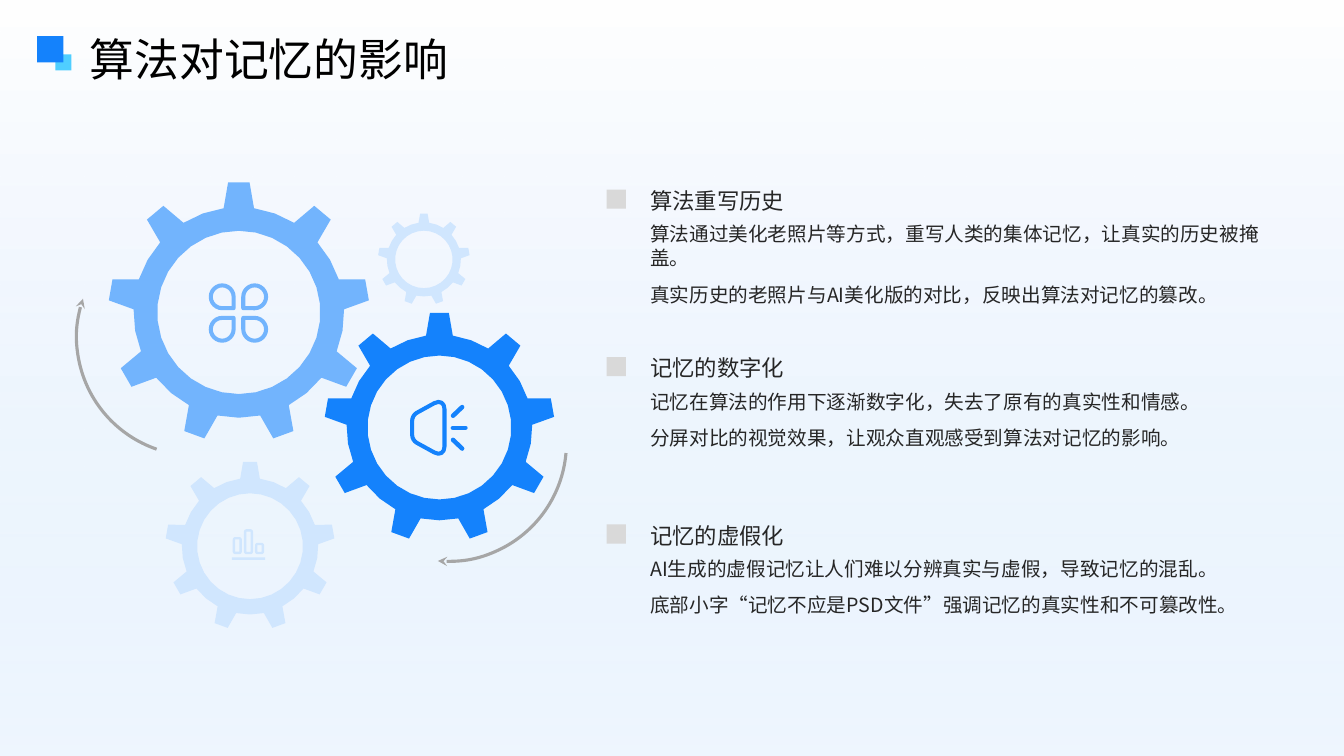
"""Build the slide on how algorithms affect memory."""
import math

import pptx
import pptx.dml.color
import pptx.enum.shapes
import pptx.enum.text
import pptx.oxml
import pptx.oxml.ns
import pptx.util

Pt = pptx.util.Pt
SHAPE = pptx.enum.shapes.MSO_SHAPE
LINE = pptx.enum.shapes.MSO_CONNECTOR
ANCHOR = pptx.enum.text.MSO_ANCHOR
FONT = "Noto Sans CJK SC"
COLORS = {
    "blue": "1482FC", "sky": "72B4FD", "pale": "D0E6FE", "cyan": "4FCEFF",
    "gray": "D9D9D9", "arrow": "A6A6A6", "text": "262626",
    "black": "000000", "white": "FFFFFF",
}
TOPICS = [
    ("算法重写历史", [
        "算法通过美化老照片等方式，重写人类的集体记忆，让真实的历史被掩盖。",
        "真实历史的老照片与AI美化版的对比，反映出算法对记忆的篡改。"]),
    ("记忆的数字化", [
        "记忆在算法的作用下逐渐数字化，失去了原有的真实性和情感。",
        "分屏对比的视觉效果，让观众直观感受到算法对记忆的影响。"]),
    ("记忆的虚假化", [
        "AI生成的虚假记忆让人们难以分辨真实与虚假，导致记忆的混乱。",
        "底部小字“记忆不应是PSD文件”强调记忆的真实性和不可篡改性。"]),
]


def rgb(name):
    return pptx.dml.color.RGBColor.from_string(COLORS[name])


def make(tag, **attrs):
    node = pptx.oxml.parse_xml(f"<a:{tag} {pptx.oxml.ns.nsdecls('a')}/>")
    for key, value in attrs.items():
        node.set(key, value)
    return node


def paint(shape, color):
    shape.shadow.inherit = False
    shape.fill.solid()
    shape.fill.fore_color.rgb = rgb(color)
    shape.line.fill.background()


def trace(shape, color, width):
    shape.shadow.inherit = False
    shape.fill.background()
    shape.line.color.rgb = rgb(color)
    shape.line.width = Pt(width)


def add_shape(slide, kind, left, top, width, height):
    return slide.shapes.add_shape(kind, Pt(left), Pt(top), Pt(width), Pt(height))


def add_box(slide, left, top, width, height, color):
    box = add_shape(slide, SHAPE.RECTANGLE, left, top, width, height)
    paint(box, color)
    return box


def add_back(slide):
    back = add_box(slide, 0, -2.9, 960, 542.9, "white")
    back.fill.gradient()
    back.fill.gradient_angle = 90
    for stop, color in zip(back.fill.gradient_stops, ("pale", "white")):
        stop.color.rgb = rgb(color)
    first = back._element.spPr.find(".//" + pptx.oxml.ns.qn("a:srgbClr"))
    first.append(make("alpha", val="34000"))
    slide.shapes._spTree.insert(2, back._element)


def set_text(shape, lines, size, color, anchor, spacing, gap=0):
    frame = shape.text_frame
    frame.word_wrap = True
    frame.auto_size = pptx.enum.text.MSO_AUTO_SIZE.NONE
    frame.vertical_anchor = anchor
    frame.margin_left = frame.margin_right = frame.margin_top = frame.margin_bottom = 0
    for i, line in enumerate(lines):
        para = frame.add_paragraph() if i else frame.paragraphs[0]
        para.alignment = pptx.enum.text.PP_ALIGN.LEFT
        para.line_spacing = spacing
        para.space_before = Pt(gap if i else 0)
        run = para.add_run()
        run.text = line
        run.font.size = Pt(size)
        run.font.color.rgb = rgb(color)
        run.font.name = FONT
        run._r.get_or_add_rPr().append(make("ea", typeface=FONT))


def add_title(slide, text):
    title = slide.shapes.title
    title.left, title.top, title.width, title.height = Pt(64.1), Pt(20.9), Pt(852.5), Pt(33.8)
    set_text(title, [text], 32, "black", ANCHOR.MIDDLE, 1.2)


def add_topic(slide, top, head, lines):
    add_box(slide, 433.4, top + 7.2, 13.7, 13.7, "gray")
    name = slide.shapes.add_textbox(Pt(464.4), Pt(top), Pt(442.8), Pt(24.5))
    set_text(name, [head], 16, "text", ANCHOR.BOTTOM, 1.3)
    body = slide.shapes.add_textbox(Pt(464.4), Pt(top + 30.2), Pt(442.8), Pt(79.2))
    set_text(body, lines, 14, "text", ANCHOR.TOP, Pt(17.2), 8.6)


def add_form(slide, center, rings):
    rings = [[(Pt(center[0] + x), Pt(center[1] + y)) for x, y in ring] for ring in rings]
    form = slide.shapes.build_freeform(*rings[0][0])
    form.add_line_segments(rings[0][1:], close=True)
    for ring in rings[1:]:
        form.move_to(*ring[0])
        form.add_line_segments(ring[1:], close=True)
    return form.convert_to_shape()


def polar(radius, angle):
    turn = math.radians(angle)
    return radius * math.sin(turn), -radius * math.cos(turn)


def add_gear(slide, center, hole, color):
    rim = []
    for mid in range(0, 360, 40):
        rim += [polar(hole * 1.6, mid + side) for side in (-4.7, 4.7)]
        rim += [polar(hole * 1.29, mid + turn) for turn in (8.3, 20, 31.7)]
    bore = [polar(hole, turn) for turn in range(0, 360, 12)]
    paint(add_form(slide, center, [bore, rim]), color)


def smooth(corners, cuts):
    ring = []
    for i, (x, y) in enumerate(corners):
        ends = []
        for px, py in (corners[i - 1], corners[(i + 1) % len(corners)]):
            ratio = cuts[i] / math.hypot(px - x, py - y)
            ends.append(((px - x) * ratio, (py - y) * ratio))
        (ax, ay), (bx, by) = ends
        for t in (0, 0.25, 0.5, 0.75, 1):
            wa = (1 - t) ** 3 + 1.35 * t * (1 - t) ** 2
            wb = t ** 3 + 1.35 * t ** 2 * (1 - t)
            ring.append((x + ax * wa + bx * wb, y + ay * wa + by * wb))
    return ring


def add_clover(slide, center, color):
    for turn, dx, dy in ((0, -19.75, 3.45), (90, -19.75, -19.75),
                         (180, 3.45, -19.75), (270, 3.45, 3.45)):
        petal = add_shape(slide, SHAPE.TEAR, center[0] + dx, center[1] + dy, 16.3, 16.3)
        petal.rotation = turn
        trace(petal, color, 2.9)


def add_ray(slide, center, start, end, color):
    ray = slide.shapes.add_connector(
        LINE.STRAIGHT, Pt(center[0] + start[0]), Pt(center[1] + start[1]),
        Pt(center[0] + end[0]), Pt(center[1] + end[1]))
    ray.line.color.rgb = rgb(color)
    ray.line.width = Pt(3.2)
    ray.line._get_or_add_ln().set("cap", "rnd")
    ray._element.spPr.append(make("effectLst"))


def add_horn(slide, center, color):
    corners = [(-19.5, -8.9), (3.6, -21.6), (3.6, 21.6), (-19.5, 8.9)]
    trace(add_form(slide, center, [smooth(corners, [3.7, 8.3, 8.3, 3.7])]), color, 2.9)
    add_ray(slide, center, (9.6, 0), (18.6, 0), color)
    for side in (-1, 1):
        add_ray(slide, center, (9.7, side * 8.6), (16.2, side * 14.8), color)


def add_bars(slide, center, color):
    for left, top in ((-10.4, -4.5), (-2.4, -10.1), (5.5, -0.4)):
        bar = add_shape(slide, SHAPE.ROUNDED_RECTANGLE, center[0] + left,
                        center[1] + top, 4.8, 6 - top)
        bar.adjustments[0] = 0.2
        trace(bar, color, 1.7)
    add_box(slide, center[0] - 11.9, center[1] + 9.2, 23.8, 1.7, color)


def add_arc(slide, left, top, turn):
    arc = add_shape(slide, SHAPE.ARC, left, top, 169.2, 169.2)
    arc.rotation = turn
    trace(arc, "arrow", 2.25)
    arc.line._get_or_add_ln().append(make("tailEnd", type="stealth"))


def main():
    deck = pptx.Presentation()
    deck.slide_width, deck.slide_height = Pt(960), Pt(540)
    slide = deck.slides.add_slide(deck.slide_layouts[5])
    add_back(slide)
    for i, (head, lines) in enumerate(TOPICS):
        add_topic(slide, 128.2 + i * 119.6, head, lines)
    for center, hole, color in (
            ((170.6, 223.2), 58.3, "sky"), ((178.6, 390.2), 37.8, "pale"),
            ((302.8, 185.3), 20.5, "pale"), ((313.9, 305.4), 51.4, "blue")):
        add_gear(slide, center, hole, color)
    add_arc(slide, 54.7, 156.2, 198.9)
    add_arc(slide, 235.4, 231.8, 94.9)
    add_clover(slide, (170.3, 223.6), "sky")
    add_horn(slide, (313.9, 305.6), "blue")
    add_bars(slide, (177.5, 389), "pale")
    add_box(slide, 39.6, 38.9, 11.5, 11.5, "cyan")
    add_title(slide, "算法对记忆的影响")
    add_box(slide, 26.6, 25.9, 18.7, 18.7, "blue")
    deck.save("out.pptx")


if __name__ == "__main__":
    main()
